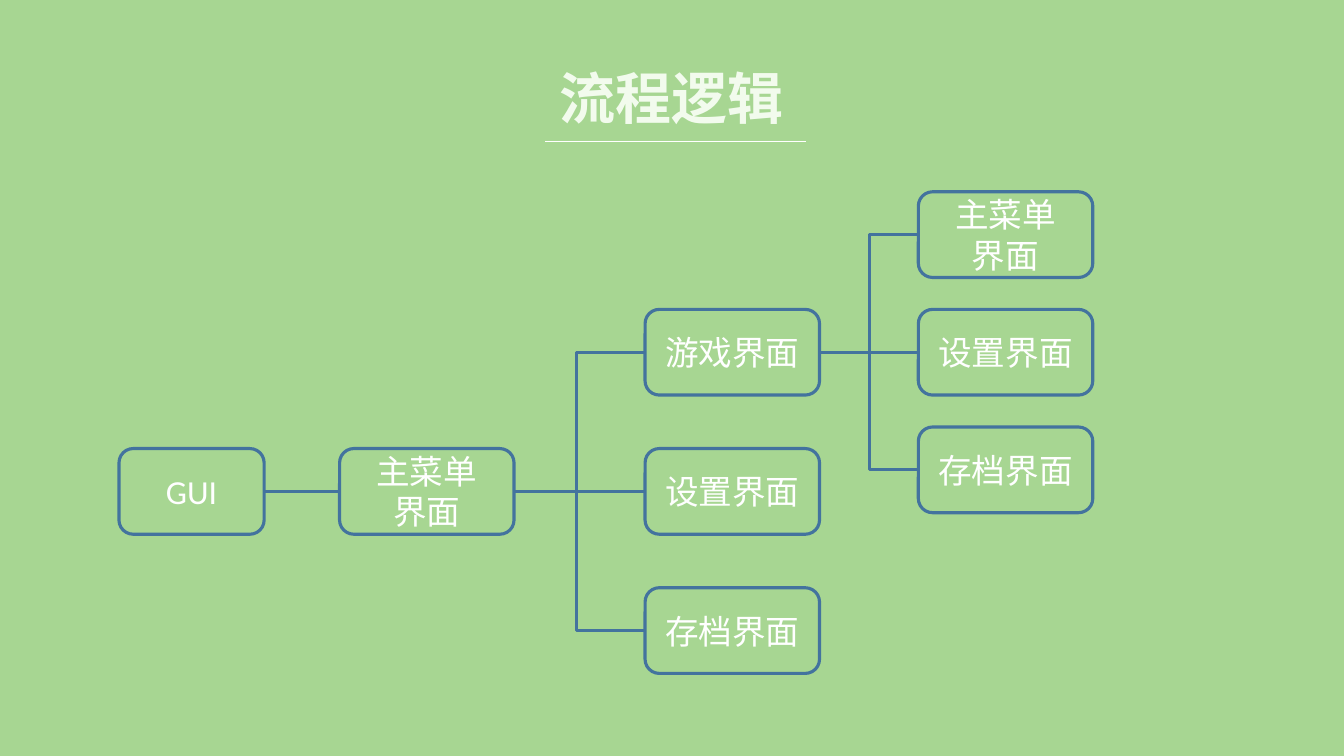
from pptx import Presentation
from pptx.dml.color import RGBColor
from pptx.enum.shapes import MSO_CONNECTOR, MSO_SHAPE
from pptx.enum.text import MSO_ANCHOR, PP_ALIGN
from pptx.oxml.ns import qn
from pptx.util import Pt
from lxml.etree import SubElement

COLORS = {"back": "A7D692", "title": "F2FBED", "white": "FFFFFF", "edge": "43739E"}
HIGH = 61.2  # height of every node
WIDE = 124.6  # width of every node but the root


def color(name):
    return RGBColor.from_string(COLORS[name])


def style(para, face, size, tint):
    para.alignment = PP_ALIGN.CENTER
    font = para.font
    font.name, font.size = face, Pt(size)
    font.color.rgb = color(tint)


def link(slide, start, end, tint="edge", width=2.25, bent=False):
    kind = MSO_CONNECTOR.ELBOW if bent else MSO_CONNECTOR.STRAIGHT
    line = slide.shapes.add_connector(kind, *map(Pt, start + end))
    line.line.color.rgb = color(tint)
    line.line.width = Pt(width)
    props = line._element.spPr
    if bent:  # a single corner: across first, then up or down
        props.find(qn("a:prstGeom")).set("prst", "bentConnector2")
    SubElement(props, qn("a:effectLst"))
    return line


def header(slide, left, top, width, height):
    title = slide.shapes.title
    title.left, title.top, title.width, title.height = map(Pt, (left, top, width, height))
    frame = title.text_frame
    frame.text = "流程逻辑"
    frame.word_wrap = False
    para = frame.paragraphs[0]
    style(para, "Noto Sans CJK SC", 40, "title")
    para.font.bold = True
    SubElement(para.font._element, qn("a:ea"), typeface="Noto Sans CJK SC")
    rule = top + height + 3.6
    link(slide, (left - 3, rule), (left + width + 8, rule), "white", 0.5)


def node(slide, left, mid, text, width=WIDE):
    box = slide.shapes.add_shape(MSO_SHAPE.FLOWCHART_ALTERNATE_PROCESS,
                                 *map(Pt, (left, mid - HIGH / 2, width, HIGH)))
    box.shadow.inherit = False
    box.fill.background()
    box.line.color.rgb = color("edge")
    box.line.width = Pt(2.25)
    frame = box.text_frame
    frame.word_wrap = True
    frame.vertical_anchor = MSO_ANCHOR.MIDDLE
    frame.text = text
    for para in frame.paragraphs:
        style(para, "Calibri", 24, "white")
    return box


def join(slide, one, two):
    line = link(slide, (0, 0), (0, 0))
    line.begin_connect(one, 3)
    line.end_connect(two, 1)


def branch(slide, root, left, mid, step, trunk, names):
    """Three child nodes, the middle one level with the root."""
    rows = [mid + step * (i - 1) for i in range(3)]
    kids = [node(slide, left, row, name) for row, name in zip(rows, names)]
    join(slide, root, kids[1])
    for row in (rows[0], rows[2]):
        link(slide, (left, row), (trunk, mid), bent=True)
    return kids


def tree(slide, left, mid):
    # Root and main menu
    root = node(slide, left, mid, "GUI", 103.7)
    menu = node(slide, left + 157.6, mid, "主菜单\n界面")
    join(slide, root, menu)
    # Screens reached from the menu, then from the game
    step = 99.4
    kids = branch(slide, menu, left + 375.8, mid, step, left + 327,
                  ("游戏界面", "设置界面", "存档界面"))
    branch(slide, kids[0], left + 571, mid - step, 84, left + 536,
           ("主菜单\n界面", "设置界面", "存档界面"))


def main():
    deck = Presentation()
    deck.slide_width, deck.slide_height = Pt(960), Pt(540)
    slide = deck.slides.add_slide(deck.slide_layouts[5])
    fill = slide.background.fill
    fill.solid()
    fill.fore_color.rgb = color("back")
    header(slide, 392.4, 41.8, 175, 55.4)
    tree(slide, 85, 351)
    deck.save("out.pptx")


if __name__ == "__main__":
    main()
